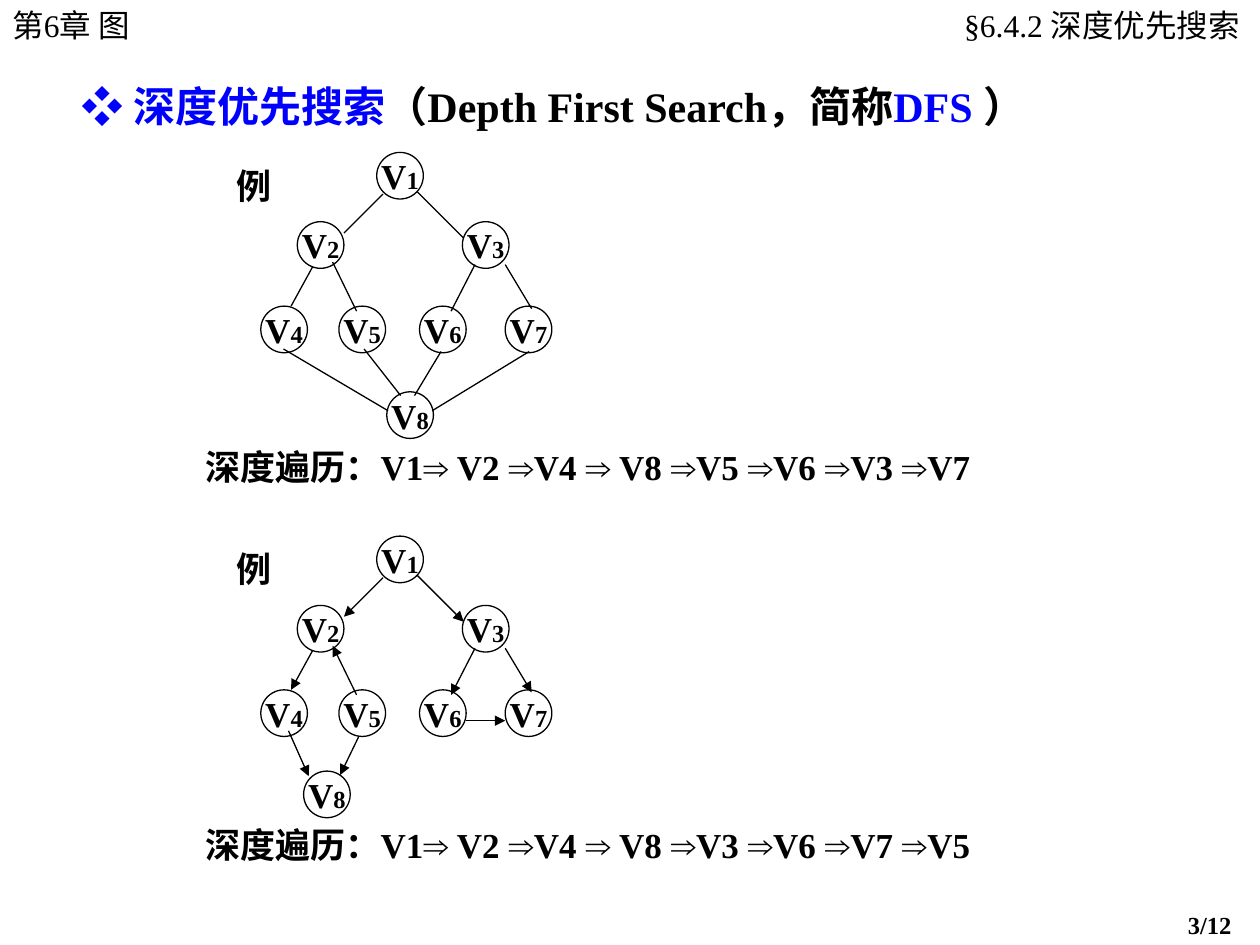
from dataclasses import dataclass
from typing import NamedTuple

import pptx
import pptx.dml.color
import pptx.enum.shapes
import pptx.enum.text
import pptx.oxml
import pptx.oxml.ns
import pptx.util

ALIGN = pptx.enum.text.PP_ALIGN
ANCHOR = pptx.enum.text.MSO_ANCHOR


@dataclass(frozen=True)
class Theme:
    black: str = "000000"
    blue: str = "0000FF"
    serif: str = "Times New Roman"
    sans: str = "Arial"
    title: int = 24
    body: int = 20
    header: int = 18
    small: int = 14
    line: float = 0.75


class Run(NamedTuple):
    text: str
    size: int
    bold: bool = True
    font: str = Theme.serif
    color: str = Theme.black


class Box(NamedTuple):
    col: float
    row: float
    cols: float
    rows: float


class Edge(NamedTuple):
    x1: float
    y1: float
    x2: float
    y2: float

    def reverse(self) -> "Edge":
        return Edge(self.x2, self.y2, self.x1, self.y1)


@dataclass(frozen=True)
class Graph:
    top: float
    v8: tuple
    edges: list
    directed: bool
    order: str
    order_row: float


T = Theme()
COLS, ROWS = 100, 75
NODE = 3.7  # node diameter in grid cells

prs = pptx.Presentation()
prs.slide_width = pptx.util.Inches(10)
prs.slide_height = pptx.util.Inches(7.5)


def gx(col: float) -> int:
    return round(prs.slide_width * col / COLS)


def gy(row: float) -> int:
    return round(prs.slide_height * row / ROWS)


def place(box: Box) -> tuple:
    return gx(box.col), gy(box.row), gx(box.cols), gy(box.rows)


def write(s, runs: list, align=ALIGN.LEFT, anchor=ANCHOR.TOP, wrap: bool = True,
          before: float = 0, side: tuple = (0.1, 0.1)) -> None:
    """Fill one paragraph with formatted runs."""
    tf = s.text_frame
    frame = {"word_wrap": wrap, "vertical_anchor": anchor,
             "auto_size": pptx.enum.text.MSO_AUTO_SIZE.NONE,
             "margin_left": pptx.util.Inches(side[0]),
             "margin_right": pptx.util.Inches(side[1]),
             "margin_top": pptx.util.Inches(0.05),
             "margin_bottom": pptx.util.Inches(0.05)}
    for name, value in frame.items():
        setattr(tf, name, value)
    p = tf.paragraphs[0]
    p.alignment = align
    p.space_before = pptx.util.Pt(before)
    for run in runs:
        r = p.add_run()
        r.text = run.text
        font = {"size": pptx.util.Pt(run.size), "bold": run.bold, "name": run.font}
        for name, value in font.items():
            setattr(r.font, name, value)
        r.font.color.rgb = pptx.dml.color.RGBColor.from_string(run.color)


def add_text(shapes, box: Box, runs: list, **style) -> None:
    write(shapes.add_textbox(*place(box)), runs, **style)


def set_line(s) -> None:
    s.line.color.rgb = pptx.dml.color.RGBColor.from_string(T.black)
    s.line.width = pptx.util.Pt(T.line)


def add_node(shapes, number: int, col: float, row: float) -> None:
    s = shapes.add_shape(pptx.enum.shapes.MSO_SHAPE.OVAL,
                         *place(Box(col, row, NODE, NODE)))
    s.shadow.inherit = False
    s.fill.background()
    set_line(s)
    write(s, [Run("V", T.body), Run(str(number), T.small)],
          align=ALIGN.CENTER, anchor=ANCHOR.MIDDLE, wrap=False)


def add_edge(shapes, edge: Edge, top: float, arrow: bool) -> None:
    s = shapes.add_connector(pptx.enum.shapes.MSO_CONNECTOR.STRAIGHT,
                             gx(edge.x1), gy(top + edge.y1),
                             gx(edge.x2), gy(top + edge.y2))
    set_line(s)
    sp = s._element.spPr
    if arrow:
        end = pptx.oxml.parse_xml(
            f'<a:tailEnd {pptx.oxml.ns.nsdecls("a")} type="triangle"/>')
        sp.find(pptx.oxml.ns.qn("a:ln")).append(end)
    sp.append(pptx.oxml.parse_xml(f'<a:effectLst {pptx.oxml.ns.nsdecls("a")}/>'))


# Node places and tree edges, with rows counted from the top of a graph
NODES = {1: (29.9, 0), 2: (23.6, 5.5), 3: (36.7, 5.5)}
NODES |= {n: (col, 12.2) for n, col in zip((4, 5, 6, 7), (20.7, 26.9, 33.3, 40.1))}
V2_V5 = Edge(26.4, 8.7, 28.3, 12.6)
TREE = [Edge(30.4, 3.3, 27.3, 6.4), Edge(33.1, 3.1, 36.8, 6.8),
        Edge(24.8, 9.1, 23.1, 12.2), Edge(37.7, 8.9, 35.8, 12.6),
        Edge(40.1, 8.9, 42.2, 12.4)]

GRAPHS = [
    Graph(12.1, (30.7, 19),
          TREE + [V2_V5, Edge(28.9, 15.6, 31.8, 19.3), Edge(35, 15.8, 32.9, 19.3),
                  Edge(22.5, 15.6, 30.8, 20.5), Edge(42, 15.8, 34.3, 20.5)],
          False, "深度遍历：V1⇒ V2 ⇒V4 ⇒ V8 ⇒V5 ⇒V6 ⇒V3 ⇒V7", 34.9),
    Graph(42.55, (24.1, 18.65),
          TREE + [V2_V5.reverse(), Edge(22.9, 15.45, 24.5, 19.05),
                  Edge(28.5, 15.85, 27, 18.95), Edge(37, 14.65, 40.1, 14.65)],
          True, "深度遍历：V1⇒ V2 ⇒V4 ⇒ V8 ⇒V3 ⇒V6 ⇒V7 ⇒V5", 64.9),
]


def order_runs(text: str) -> list:
    """Set the arrows of a visiting order in the sans font."""
    first, *rest = text.split("⇒")
    runs = [Run(first, T.body)]
    for part in rest:
        runs += [Run("⇒", T.body, font=T.sans), Run(part, T.body)]
    return runs


def draw_graph(slide, graph: Graph) -> None:
    shapes = slide.shapes.add_group_shape().shapes
    for number, (col, row) in {**NODES, 8: graph.v8}.items():
        add_node(shapes, number, col, graph.top + row)
    for edge in graph.edges:
        add_edge(shapes, edge, graph.top, graph.directed)
    add_text(shapes, Box(17.8, graph.top + 0.4, 4.8, 4.4), [Run("例", T.body)],
             align=ALIGN.CENTER, anchor=ANCHOR.MIDDLE, wrap=False)
    add_text(slide.shapes, Box(15.3, graph.order_row, 64.9, 4.4),
             order_runs(graph.order))


def main() -> None:
    slide = prs.slides.add_slide(prs.slide_layouts[5])

    # Title
    s = slide.shapes.title
    s.left, s.top, s.width, s.height = place(Box(5.5, 5.9, 87.5, 5))
    write(s, [Run("❖ ", T.title, font=T.sans, color=T.blue),
              Run("深度优先搜索", T.title, color=T.blue),
              Run("（Depth First Search，简称", T.title),
              Run("DFS ", T.title, color=T.blue),
              Run("）", T.title)])

    # Header and page number
    add_text(slide.shapes, Box(0, 0, 17.4, 4),
             [Run("第6章 图", T.header, False)], before=11.2)
    add_text(slide.shapes, Box(68.8, 0, 31.2, 4),
             [Run("§6.4.2 深度优先搜索", T.header, False)],
             align=ALIGN.RIGHT, before=11.2, side=(0.12, 0.16))
    add_text(slide.shapes, Box(93.3, 71.7, 6.7, 3.4),
             [Run("3/12", T.small)], before=8.8)

    # Graphs with their visiting orders
    for graph in GRAPHS:
        draw_graph(slide, graph)

    prs.save("out.pptx")


if __name__ == "__main__":
    main()
